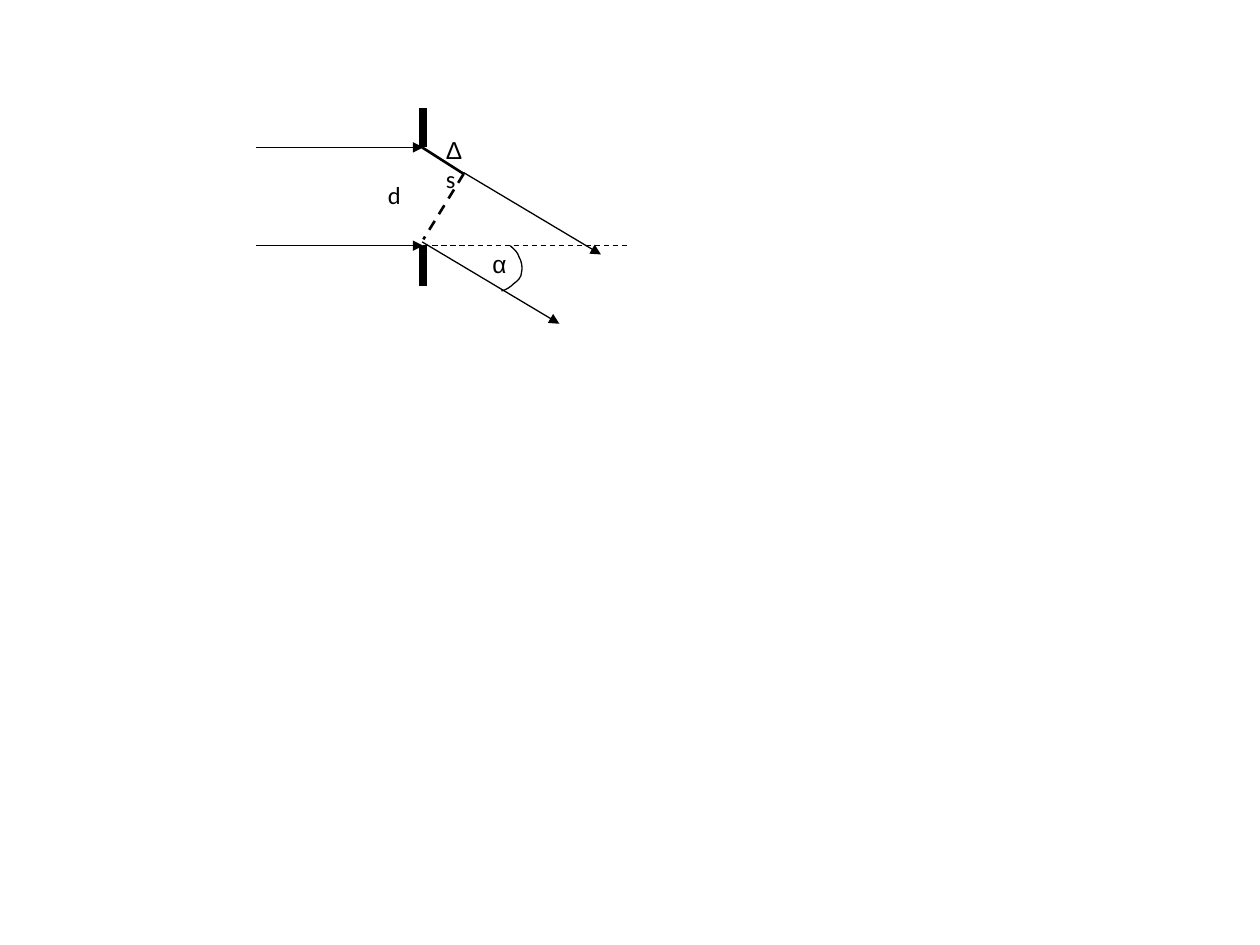
"""Draw the double-slit path difference diagram."""
from dataclasses import dataclass

from lxml.etree import SubElement
from pptx import Presentation
from pptx.dml.color import RGBColor
from pptx.enum.dml import MSO_LINE_DASH_STYLE as Dash
from pptx.enum.shapes import MSO_CONNECTOR as Connector, MSO_SHAPE as Shape
from pptx.enum.text import MSO_AUTO_SIZE as AutoSize
from pptx.oxml.ns import qn
from pptx.slide import Slide
from pptx.util import Inches, Pt

Point = tuple[float, float]


@dataclass(frozen=True)
class Theme:
    ink: RGBColor = RGBColor(0, 0, 0)
    paper: RGBColor = RGBColor(255, 255, 255)
    latin: str = "Calibri"
    greek: str = "Arial"
    text: float = 14
    thin: float = 0.75
    medium: float = 1.5
    border: float = 2
    thick: float = 4.5


@dataclass(frozen=True)
class Stroke:
    start: Point
    end: Point
    width: float
    dashed: bool = False
    arrow: bool = False


@dataclass(frozen=True)
class Label:
    left: float
    top: float
    width: float
    spans: tuple[tuple[str, str], ...]


THEME = Theme()
SLIT_X, UPPER_Y, LOWER_Y = 3.36, 1.17, 1.95
INCOMING_X = 2.03
RAY_RUN, RAY_DROP = 1.09, 0.65
UPPER_EDGE = (3.35, UPPER_Y)
FOOT = (3.68, 1.38)
RAY_STARTS = ((3.68, 1.37), (3.35, 1.92))

STROKES = (
    Stroke((SLIT_X, 0.86), (SLIT_X, UPPER_Y), THEME.thick),
    Stroke((SLIT_X, LOWER_Y), (SLIT_X, 2.27), THEME.thick),
    *(Stroke((INCOMING_X, y), (SLIT_X, y), THEME.thin, arrow=True)
      for y in (UPPER_Y, LOWER_Y)),
    Stroke(UPPER_EDGE, FOOT, THEME.medium),
    Stroke(FOOT, (SLIT_X, 1.9), THEME.medium, dashed=True),
    *(Stroke((x, y), (x + RAY_RUN, y + RAY_DROP), THEME.thin, arrow=True)
      for x, y in RAY_STARTS),
    Stroke((SLIT_X, LOWER_Y), (5, LOWER_Y), THEME.thin, dashed=True),
)

ANGLE_ARC = (
    (4.05, 1.95),
    (4.08, 1.98), (4.11, 2.0), (4.12, 2.04),
    (4.14, 2.07), (4.15, 2.13), (4.14, 2.16),
    (4.14, 2.2), (4.11, 2.23), (4.08, 2.25),
    (4.05, 2.28), (4.02, 2.3), (3.98, 2.31),
)

LABELS = (
    Label(2.98, 1.38, 0.31, (("d", THEME.latin),)),
    Label(3.81, 1.93, 0.33, (("α", THEME.greek),)),
    Label(3.44, 1.02, 0.38, (("Δ", THEME.greek), ("s", THEME.latin))),
)


def add_backdrop(page: Slide) -> None:
    """Place the white panel behind the diagram."""
    panel = page.shapes.add_shape(
        Shape.RECTANGLE, Inches(1.8), Inches(0.78), Inches(3.36), Inches(1.88))
    panel.shadow.inherit = False
    panel.fill.solid()
    panel.fill.fore_color.rgb = THEME.paper
    panel.line.color.rgb = THEME.paper
    panel.line.width = Pt(THEME.border)


def add_stroke(page: Slide, stroke: Stroke) -> None:
    """Draw one straight line, optionally dashed or with an arrowhead."""
    ends = (Inches(value) for value in (*stroke.start, *stroke.end))
    connector = page.shapes.add_connector(Connector.STRAIGHT, *ends)
    connector.line.color.rgb = THEME.ink
    connector.line.width = Pt(stroke.width)
    if stroke.dashed:
        connector.line.dash_style = Dash.DASH
    properties = connector.element.spPr
    if stroke.arrow:
        SubElement(properties.find(qn("a:ln")), qn("a:tailEnd"), type="triangle")
    SubElement(properties, qn("a:effectLst"))


def add_curve(page: Slide, points: tuple[Point, ...]) -> None:
    """Draw an open curve from a start point and triples of Bezier points."""
    start, *rest = points
    builder = page.shapes.build_freeform(
        Inches(start[0]), Inches(start[1]), scale=1.0)
    builder.add_line_segments(
        [(Inches(x), Inches(y)) for x, y in rest], close=False)
    curve = builder.convert_to_shape()
    outline = next(curve.element.iter(qn("a:path")))
    segments = outline.findall(qn("a:lnTo"))
    for first in range(0, len(segments), 3):
        bezier = SubElement(outline, qn("a:cubicBezTo"))
        for segment in segments[first:first + 3]:
            bezier.append(segment[0])
            outline.remove(segment)
    curve.shadow.inherit = False
    curve.fill.background()
    curve.line.color.rgb = THEME.ink
    curve.line.width = Pt(THEME.thin)


def add_label(page: Slide, label: Label) -> None:
    """Write one symbol label."""
    box = page.shapes.add_textbox(
        Inches(label.left), Inches(label.top), Inches(label.width), Inches(0.34))
    frame = box.text_frame
    frame.word_wrap = True
    frame.auto_size = AutoSize.SHAPE_TO_FIT_TEXT
    para = frame.paragraphs[0]
    para.font.size = Pt(THEME.text)
    para.font.color.rgb = THEME.ink
    for text, font in label.spans:
        span = para.add_run()
        span.text = text
        span.font.name = font


def main() -> None:
    """Build the slide and save the deck."""
    deck = Presentation()
    deck.slide_width, deck.slide_height = Inches(10), Inches(7.5)
    page = deck.slides.add_slide(deck.slide_layouts[6])
    add_backdrop(page)
    for stroke in STROKES:
        add_stroke(page, stroke)
    add_curve(page, ANGLE_ARC)
    for label in LABELS:
        add_label(page, label)
    deck.save("out.pptx")


if __name__ == "__main__":
    main()
